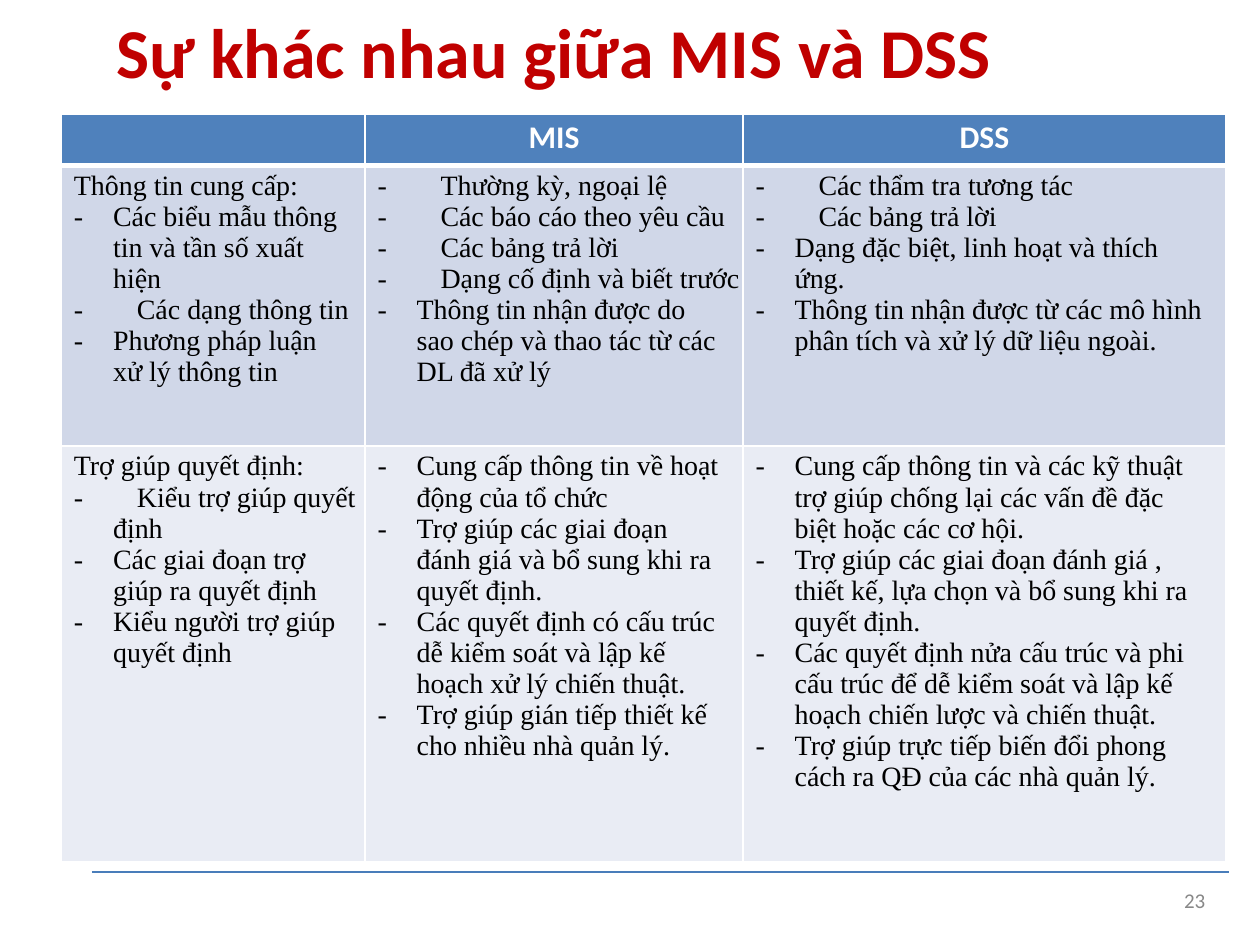
from dataclasses import dataclass
from functools import partial

from lxml.etree import SubElement
from pptx import Presentation
from pptx.dml.color import RGBColor
from pptx.enum.shapes import MSO_CONNECTOR as Connector
from pptx.enum.text import MSO_ANCHOR as Anchor, MSO_AUTO_SIZE as AutoSize, PP_ALIGN as Align
from pptx.oxml import parse_xml
from pptx.oxml.ns import nsdecls, qn
from pptx.util import Cm, Pt

RED = RGBColor(0xC0, 0x00, 0x00)
WHITE = RGBColor(0xFF, 0xFF, 0xFF)
BLACK = RGBColor(0x00, 0x00, 0x00)
GRAY = RGBColor(0x88, 0x88, 0x88)
RULE_BLUE = RGBColor(0x49, 0x7D, 0xBA)
HEADER_BLUE = RGBColor(0x4F, 0x81, 0xBC)
BAND_DARK = RGBColor(0xD0, 0xD7, 0xE8)
BAND_LIGHT = RGBColor(0xE9, 0xEC, 0xF4)

NO_MARGINS = dict(margin_left=0, margin_right=0, margin_top=0, margin_bottom=0)
TITLE_FONT = dict(name="Calibri", size=Pt(40), bold=True)
HEADER_FONT = dict(name="Calibri", size=Pt(18), bold=True)
BODY_FONT = dict(name="Times New Roman", size=Pt(16), bold=False)
NUMBER_FONT = dict(name="Calibri", size=Pt(12), bold=False)

TEXT_EDGE = Cm(0.25)
ITEM_EDGE = Cm(1.04)
COLUMN_WIDTHS = (Cm(6.12), Cm(7.62), Cm(9.73))
ROW_HEIGHTS = (Cm(1.02), Cm(5.66), Cm(8.38))
LINE_BREAK = "|"


@dataclass
class Item:
    text: str
    left: int = TEXT_EDGE
    indent: int = 0
    dash: bool = False


hanging = partial(Item, left=ITEM_EDGE, indent=TEXT_EDGE - ITEM_EDGE, dash=True)
flush = partial(Item, dash=True)

HEADERS = ("", "MIS", "DSS")
INFORMATION = (
    [
        Item("Thông tin cung cấp:"),
        hanging("Các biểu mẫu thông|tin và tần số xuất|hiện"),
        flush("Các dạng thông tin"),
        hanging("Phương pháp luận|xử lý thông tin"),
    ],
    [
        flush("Thường kỳ, ngoại lệ"),
        flush("Các báo cáo theo yêu cầu"),
        flush("Các bảng trả lời"),
        flush("Dạng cố định và biết trước"),
        hanging("Thông tin nhận được do|sao chép và thao tác từ các|DL đã xử lý"),
    ],
    [
        flush("Các thẩm tra tương tác"),
        flush("Các bảng trả lời"),
        hanging("Dạng đặc biệt, linh hoạt và thích|ứng."),
        hanging("Thông tin nhận được từ các mô hình|phân tích và xử lý dữ liệu ngoài."),
    ],
)
DECISIONS = (
    [
        Item("Trợ giúp quyết định:"),
        flush("Kiểu trợ giúp quyết"),
        Item("định", left=ITEM_EDGE),
        hanging("Các giai đoạn trợ|giúp ra quyết định"),
        hanging("Kiểu người trợ giúp|quyết định"),
    ],
    [
        hanging("Cung cấp thông tin về hoạt|động của tổ chức"),
        hanging("Trợ giúp các giai đoạn|đánh giá và bổ sung khi ra|quyết định."),
        hanging("Các quyết định có cấu trúc|dễ kiểm soát và lập kế|hoạch xử lý chiến thuật."),
        hanging("Trợ giúp gián tiếp thiết kế|cho nhiều nhà quản lý."),
    ],
    [
        hanging("Cung cấp thông tin và các kỹ thuật|trợ giúp chống lại các vấn đề đặc|biệt hoặc các cơ hội."),
        hanging("Trợ giúp các giai đoạn đánh giá ,|thiết kế, lựa chọn và bổ sung khi ra|quyết định."),
        hanging("Các quyết định nửa cấu trúc và phi|cấu trúc để dễ kiểm soát và lập kế|hoạch chiến lược và chiến thuật."),
        hanging("Trợ giúp trực tiếp biến đổi phong|cách ra QĐ của các nhà quản lý."),
    ],
)


def apply(target, values: dict) -> None:
    for name, value in values.items():
        setattr(target, name, value)


def write(para, text: str, font: dict, color: RGBColor) -> None:
    para.text = text.replace(LINE_BREAK, "\v")
    for span in para.runs:
        apply(span.font, font)
        span.font.color.rgb = color
    for line_break in para._p.findall(qn("a:br")):
        SubElement(line_break, qn("a:rPr"), sz=str(int(font["size"].pt * 100)))


def write_item(para, item: Item) -> None:
    write(para, f"-\t{item.text}" if item.dash else item.text, BODY_FONT, BLACK)
    layout = para._p.get_or_add_pPr()
    layout.set("marL", str(int(item.left)))
    layout.set("indent", str(int(item.indent)))
    if item.dash:
        tabs = SubElement(layout, qn("a:tabLst"))
        SubElement(tabs, qn("a:tab"), pos=str(int(ITEM_EDGE)), algn="l")


def style_cell(cell, fill: RGBColor, margin_top: int, top: float = 1, bottom: float = 1) -> None:
    apply(cell, {**NO_MARGINS, "margin_top": margin_top})
    cell.fill.solid()
    cell.fill.fore_color.rgb = fill
    borders = dict(lnL=1, lnR=1, lnT=top, lnB=bottom)
    for index, (side, width) in enumerate(borders.items()):
        border = parse_xml(
            f'<a:{side} {nsdecls("a")} w="{Pt(width)}"><a:solidFill>'
            f'<a:srgbClr val="{WHITE}"/></a:solidFill></a:{side}>'
        )
        cell._tc.get_or_add_tcPr().insert(index, border)


def add_title(page) -> None:
    title = page.shapes.title
    apply(title, dict(left=Cm(2.34), top=Cm(0.13), width=Cm(17.73), height=Cm(1.78)))
    frame = title.text_frame
    apply(frame, {**NO_MARGINS, "margin_top": Cm(0.05), "vertical_anchor": Anchor.TOP,
                  "word_wrap": False, "auto_size": AutoSize.NONE})
    para = frame.paragraphs[0]
    write(para, "Sự khác nhau giữa MIS và DSS", TITLE_FONT, RED)
    para.alignment = Align.LEFT


def add_comparison(page) -> None:
    frame = page.shapes.add_table(3, 3, Cm(1.24), Cm(2.31), sum(COLUMN_WIDTHS), sum(ROW_HEIGHTS))
    table = frame.table
    table.horz_banding = False
    for column, width in zip(table.columns, COLUMN_WIDTHS):
        column.width = width
    for row, height in zip(table.rows, ROW_HEIGHTS):
        row.height = height
    for index, header in enumerate(HEADERS):
        cell = table.cell(0, index)
        style_cell(cell, HEADER_BLUE, Cm(0.08), bottom=3)
        para = cell.text_frame.paragraphs[0]
        if header:
            write(para, header, HEADER_FONT, WHITE)
        para.alignment = Align.CENTER
    bands = ((INFORMATION, BAND_DARK, 3), (DECISIONS, BAND_LIGHT, 1))
    for row_index, (row, fill, top) in enumerate(bands, start=1):
        for column_index, items in enumerate(row):
            cell = table.cell(row_index, column_index)
            style_cell(cell, fill, Cm(0.1), top=top)
            frame = cell.text_frame
            for index, item in enumerate(items):
                write_item(frame.add_paragraph() if index else frame.paragraphs[0], item)


def add_footer(page) -> None:
    rule = page.shapes.add_connector(Connector.STRAIGHT, Cm(1.85), Cm(17.58), Cm(24.77), Cm(17.58))
    rule.line.color.rgb = RULE_BLUE
    rule.line.width = Pt(0.78)
    SubElement(rule._element.spPr, qn("a:effectLst"))
    box = page.shapes.add_textbox(Cm(23.77), Cm(17.96), Cm(0.69), Cm(0.48))
    apply(box.text_frame, {**NO_MARGINS, "margin_left": Cm(0.1), "word_wrap": True})
    para = box.text_frame.paragraphs[0]
    write(para, "23", NUMBER_FONT, GRAY)
    para.line_spacing = Pt(12.4)


def main() -> None:
    deck = Presentation()
    apply(deck, dict(slide_width=Cm(25.4), slide_height=Cm(19.05)))
    page = deck.slides.add_slide(deck.slide_layouts[5])
    add_title(page)
    add_comparison(page)
    add_footer(page)
    deck.save("out.pptx")


if __name__ == "__main__":
    main()
